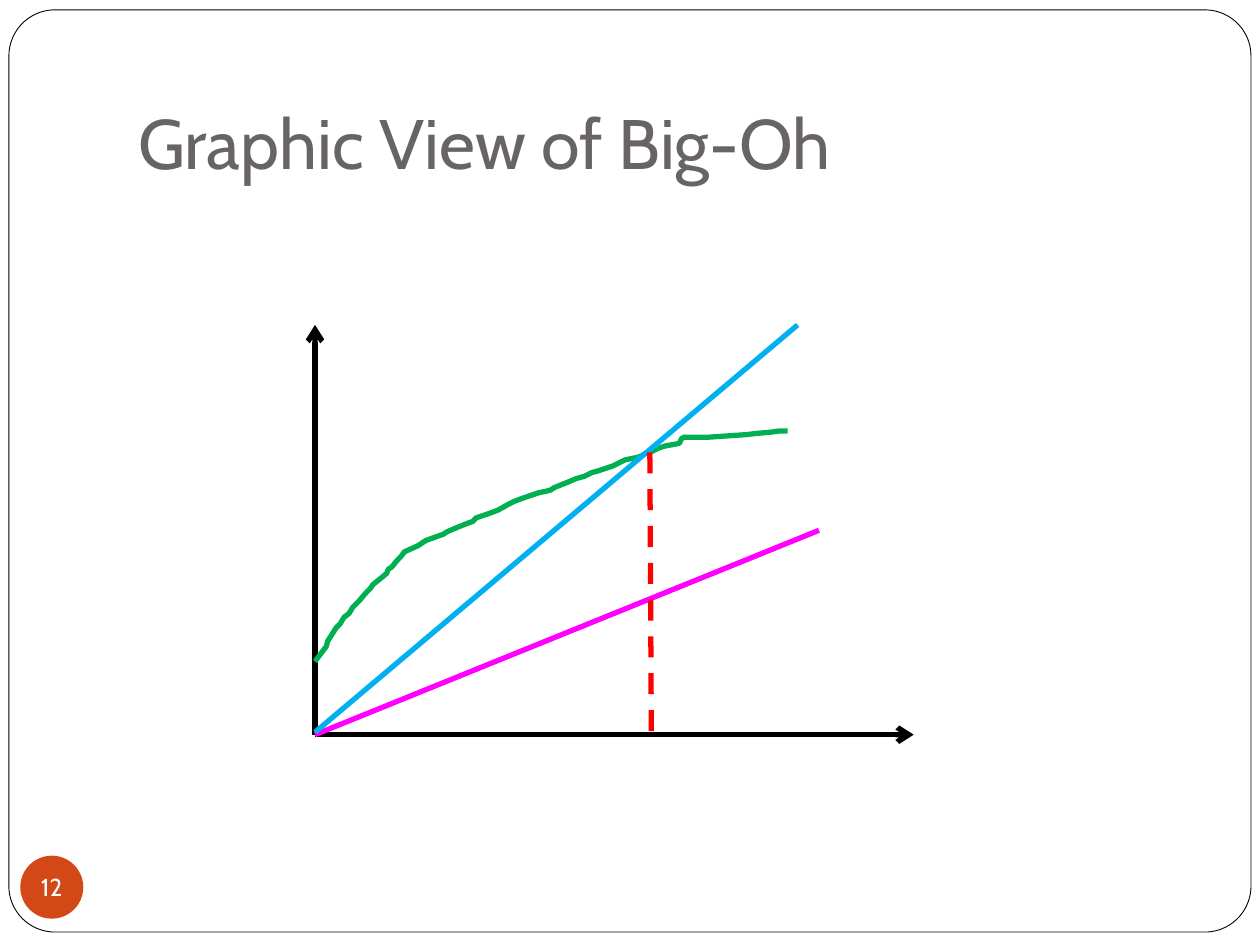
import lxml.etree
import pptx
import pptx.dml.color
import pptx.enum.dml
import pptx.enum.shapes
import pptx.enum.text
import pptx.oxml.ns
import pptx.util

Cm = pptx.util.Cm
Pt = pptx.util.Pt
RGBColor = pptx.dml.color.RGBColor
MSO_SHAPE = pptx.enum.shapes.MSO_SHAPE
MSO_ANCHOR = pptx.enum.text.MSO_ANCHOR
PP_ALIGN = pptx.enum.text.PP_ALIGN

BLACK = RGBColor(0x00, 0x00, 0x00)
WHITE = RGBColor(0xFF, 0xFF, 0xFF)
GRAY = RGBColor(0x69, 0x64, 0x64)
ORANGE = RGBColor(0xD3, 0x48, 0x17)
GREEN = RGBColor(0x00, 0xB0, 0x50)
MAGENTA = RGBColor(0xFF, 0x00, 0xFF)
BLUE = RGBColor(0x00, 0xB0, 0xF0)
RED = RGBColor(0xFF, 0x00, 0x00)

FONT = "Cabin"
ORIGIN = (6.35, 14.81)
CURVE_UNIT = Cm(0.0254)
CURVE_POINTS = [
    (250, 525), (259, 513), (260, 509), (267, 498), (270, 495), (273, 490),
    (277, 487), (280, 482), (285, 477), (290, 471), (294, 467), (296, 464),
    (301, 460), (307, 455), (308, 452), (311, 450), (315, 445), (318, 442),
    (321, 438), (332, 433), (335, 431), (338, 429), (352, 424), (355, 422),
    (362, 419), (372, 415), (375, 414), (378, 411), (384, 409), (387, 408),
    (395, 405), (404, 400), (408, 398), (416, 395), (425, 392), (428, 391),
    (433, 390), (437, 389), (440, 387), (450, 383), (457, 380), (464, 378),
    (470, 375), (474, 374), (480, 372), (486, 370), (496, 365), (506, 363),
    (509, 362), (512, 360), (516, 359), (522, 356), (528, 354), (539, 352),
    (541, 348), (543, 347), (548, 347), (563, 347), (592, 345), (601, 344),
    (612, 343), (619, 342), (625, 342),
]


def format_text(frame, size, color, align, anchor, margins):
    """Set the font, alignment and insets of a one-paragraph text frame."""
    frame.vertical_anchor = anchor
    frame.auto_size = pptx.enum.text.MSO_AUTO_SIZE.NONE
    (frame.margin_left, frame.margin_top,
     frame.margin_right, frame.margin_bottom) = [Cm(m) for m in margins]
    paragraph = frame.paragraphs[0]
    paragraph.alignment = align
    paragraph.font.name = FONT
    paragraph.font.size = Pt(size)
    paragraph.font.color.rgb = color


def add_frame(shapes):
    """Add the rounded border of the slide."""
    border = shapes.add_shape(
        MSO_SHAPE.ROUNDED_RECTANGLE, Cm(0.18), Cm(0.2), Cm(25.04), Cm(18.59))
    border.adjustments[0] = 0.05
    border.shadow.inherit = False
    border.fill.solid()
    border.fill.fore_color.rgb = WHITE
    border.line.color.rgb = BLACK
    border.line.width = Pt(0.5)


def set_title(title, wording):
    """Place the title above the border and format it."""
    title.element.getparent().append(title.element)
    title.left, title.top = Cm(2.54), Cm(0.76)
    title.width, title.height = Cm(21.59), Cm(3.18)
    title.text_frame.text = wording
    format_text(title.text_frame, 40, GRAY, PP_ALIGN.LEFT,
                MSO_ANCHOR.BOTTOM, (0.25, 0.13, 0.25, 0.25))


def add_page_number(shapes, number):
    """Add the round page number badge."""
    badge = shapes.add_shape(
        MSO_SHAPE.OVAL, Cm(0.41), Cm(17.25), Cm(1.27), Cm(1.27))
    badge.shadow.inherit = False
    badge.fill.solid()
    badge.fill.fore_color.rgb = ORANGE
    badge.line.fill.background()
    badge.text_frame.text = number
    badge.text_frame.word_wrap = False
    format_text(badge.text_frame, 14, WHITE, PP_ALIGN.CENTER,
                MSO_ANCHOR.MIDDLE, (0, 0, 0, 0))


def add_line(shapes, start, end, color, dashed=False, arrow=False):
    """Add a straight line between two points given in centimetres."""
    line = shapes.add_connector(
        pptx.enum.shapes.MSO_CONNECTOR.STRAIGHT,
        *[Cm(value) for value in start + end])
    line.line.color.rgb = color
    line.line.width = Pt(3)
    if dashed:
        line.line.dash_style = pptx.enum.dml.MSO_LINE.DASH
    qn = pptx.oxml.ns.qn
    properties = line.element.spPr
    if arrow:
        lxml.etree.SubElement(
            properties.find(qn("a:ln")), qn("a:tailEnd"), type="arrow")
    lxml.etree.SubElement(properties, qn("a:effectLst"))


def add_curve(shapes, points, color):
    """Add an open curve through the given points."""
    builder = shapes.build_freeform(*points[0], scale=CURVE_UNIT)
    builder.add_line_segments(points[1:], close=False)
    curve = builder.convert_to_shape()
    curve.shadow.inherit = False
    curve.fill.background()
    curve.line.color.rgb = color
    curve.line.width = Pt(3)


def main():
    """Build the slide and save it."""
    deck = pptx.Presentation()
    deck.slide_width, deck.slide_height = Cm(25.4), Cm(19.05)
    slide = deck.slides.add_slide(deck.slide_layouts[5])
    shapes = slide.shapes

    add_frame(shapes)
    set_title(shapes.title, "Graphic View of Big-Oh")
    add_page_number(shapes, "12")

    axes = shapes.add_group_shape().shapes
    for axis_end in [(18.42, 14.81), (6.35, 6.55)]:
        add_line(axes, ORIGIN, axis_end, BLACK, arrow=True)

    add_curve(shapes, CURVE_POINTS, GREEN)
    add_line(shapes, ORIGIN, (16.51, 10.69), MAGENTA)
    add_line(shapes, (6.35, 14.76), (16.08, 6.55), BLUE)
    add_line(shapes, (13.1, 9.12), (13.13, 14.76), RED, dashed=True)

    deck.save("out.pptx")


if __name__ == "__main__":
    main()
